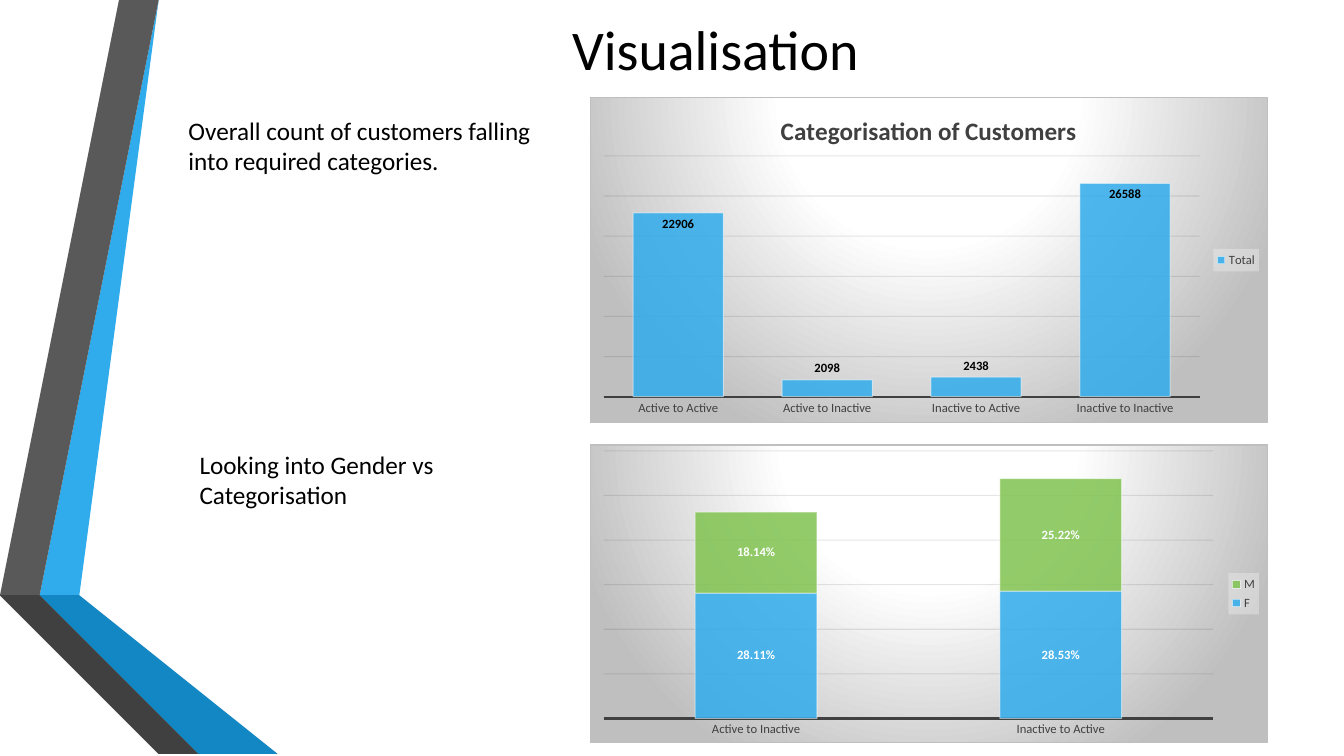
from pptx import Presentation
from pptx.chart.data import CategoryChartData
from pptx.dml.color import RGBColor
from pptx.enum.chart import XL_CHART_TYPE, XL_LABEL_POSITION, XL_LEGEND_POSITION, XL_TICK_MARK
from pptx.enum.text import MSO_ANCHOR, PP_ALIGN
from pptx.oxml import parse_xml
from pptx.oxml.ns import nsdecls
from pptx.util import Cm, Pt

HUES = {
    "black": "000000", "white": "FFFFFF", "blue": "30ACEC", "deep": "1287C3",
    "navy": "0C5A82", "green": "80C34F", "grey": "595959", "dark": "404040",
    "night": "262626", "grid": "0D0D0D", "edge": "BFBFBF", "key": "F2F2F2",
}
FACE = "Calibri"
BANDS = [
    ("blue", [(1.27, 14.68), (1.96, 14.81), (4.39, 0), (3.68, 0)]),
    ("grey", [(3.53, 0), (2.82, 0), (0.41, 14.55), (1.12, 14.66)]),
    ("night", [(0.41, 14.55), (3.68, 19.05), (3.84, 19.05)]),
    ("navy", [(1.27, 14.71), (5.28, 19.05), (5.44, 19.05)]),
    ("deep", [(1.27, 14.68), (5.44, 19.05), (7.19, 19.05), (1.96, 14.81)]),
    ("dark", [(5.13, 19.05), (1.22, 14.81), (1.12, 14.66), (0.41, 14.55), (3.84, 19.05)]),
]


def hue(name):
    return RGBColor.from_string(HUES[name])


def style(font, size, name, bold=False):
    font.name = FACE
    font.size = Pt(size)
    font.bold = bold
    font.color.rgb = hue(name)


def ink(line, name, width):
    line.color.rgb = hue(name)
    line.width = Pt(width)


def fade(root, query, part):
    for node in root.xpath(query):
        node.append(parse_xml(f'<a:alpha {nsdecls("a")} val="{part * 1000}"/>'))


def draw_bands(slide, box):
    left, top = box
    for name, dots in BANDS:
        spots = [(left + x, top + y) for x, y in dots]
        pen = slide.shapes.build_freeform(*spots[0], scale=Cm(1))
        pen.add_line_segments(spots[1:], close=True)
        band = pen.convert_to_shape()
        band.shadow.inherit = False
        band.fill.solid()
        band.fill.fore_color.rgb = hue(name)
        band.line.fill.background()


def put_title(slide, box, text):
    title = slide.shapes.title
    title.left, title.top, title.width, title.height = map(Cm, box)
    frame = title.text_frame
    frame.text = text
    frame.vertical_anchor = MSO_ANCHOR.MIDDLE
    frame.paragraphs[0].alignment = PP_ALIGN.CENTER
    style(frame.paragraphs[0].runs[0].font, 40, "black")


def put_note(slide, box, text):
    frame = slide.shapes.add_textbox(*map(Cm, box)).text_frame
    frame.word_wrap = True
    frame.text = text
    style(frame.paragraphs[0].runs[0].font, 18, "black")


def paint_back(chart):
    root = chart._chartSpace
    root.chart.addnext(parse_xml(
        f'<c:spPr {nsdecls("c", "a")}><a:gradFill><a:gsLst>'
        f'<a:gs pos="0"><a:srgbClr val="{HUES["white"]}"/></a:gs>'
        f'<a:gs pos="39000"><a:srgbClr val="{HUES["white"]}"/></a:gs>'
        f'<a:gs pos="100000"><a:srgbClr val="{HUES["edge"]}"/></a:gs></a:gsLst>'
        '<a:path path="circle"><a:fillToRect l="50000" t="-80000" r="50000" b="180000"/></a:path>'
        f'</a:gradFill><a:ln w="9525"><a:solidFill><a:srgbClr val="{HUES["edge"]}"/>'
        '</a:solidFill></a:ln></c:spPr>'))


def place_plot(chart, area):
    plot = chart._chartSpace.chart.plotArea
    for node in plot.xpath("./c:layout"):
        plot.remove(node)
    sides = "".join(f'<c:{key} val="{part}"/>' for key, part in zip("xywh", area))
    plot.insert(0, parse_xml(
        f'<c:layout {nsdecls("c")}><c:manualLayout><c:layoutTarget val="inner"/>'
        f'<c:xMode val="edge"/><c:yMode val="edge"/>{sides}</c:manualLayout></c:layout>'))


def put_key(chart):
    chart.has_legend = True
    key = chart.legend
    key.position = XL_LEGEND_POSITION.RIGHT
    key.include_in_layout = False
    style(key.font, 9, "dark")
    key._element.xpath("./c:txPr")[0].addprevious(parse_xml(
        f'<c:spPr {nsdecls("c", "a")}><a:solidFill><a:srgbClr val="{HUES["key"]}">'
        '<a:alpha val="39000"/></a:srgbClr></a:solidFill></c:spPr>'))


def put_chart(slide, box, kind, cats, rows, area, peak, step, gap, form, tone, spot):
    data = CategoryChartData(number_format=form)
    data.categories = cats
    for name, nums, _ in rows:
        data.add_series(name, nums)
    chart = slide.shapes.add_chart(kind, *map(Cm, box), data).chart
    style(chart.font, 10, "black")
    chart.has_title = False
    paint_back(chart)
    place_plot(chart, area)
    put_key(chart)

    base = chart.category_axis
    base.major_tick_mark = XL_TICK_MARK.NONE
    style(base.tick_labels.font, 9, "dark")
    ink(base.format.line, "dark", 1.5)
    scale = chart.value_axis
    scale.minimum_scale, scale.maximum_scale, scale.major_unit = 0, peak, step
    ink(scale.major_gridlines.format.line, "grid", 0.75)
    fade(chart._chartSpace, ".//c:majorGridlines//a:srgbClr", 10)
    scale.visible = False

    plot = chart.plots[0]
    plot.gap_width = gap
    plot.vary_by_categories = False
    for bars, (_, _, name) in zip(plot.series, rows):
        bars.format.fill.solid()
        bars.format.fill.fore_color.rgb = hue(name)
        ink(bars.format.line, "white", 0.75)
        fade(bars._element, "./c:spPr/a:solidFill/a:srgbClr", 85)
        fade(bars._element, "./c:spPr/a:ln//a:srgbClr", 50)
        tags = bars.data_labels
        tags.show_value = True
        tags.number_format = form
        tags.number_format_is_linked = False
        tags.position = spot
        style(tags.font, 9, tone, True)
    return chart


def put_counts(slide, box):
    chart = put_chart(
        slide, box, XL_CHART_TYPE.COLUMN_CLUSTERED,
        ["Active to Active", "Active to Inactive", "Inactive to Active", "Inactive to Inactive"],
        [("Total", [22906, 2098, 2438, 26588], "blue")],
        (0.02, 0.18, 0.88, 0.74), 30000, 5000, 65, "General", "black",
        XL_LABEL_POSITION.INSIDE_END)
    frame = chart.chart_title.text_frame
    frame.text = "Categorisation of Customers"
    style(frame.paragraphs[0].runs[0].font, 18, "dark", True)
    for rank in (1, 2):
        tag = chart.plots[0].series[0].points[rank].data_label
        style(tag.font, 9, "black", True)
        tag.position = XL_LABEL_POSITION.OUTSIDE_END


def put_shares(slide, box):
    chart = put_chart(
        slide, box, XL_CHART_TYPE.COLUMN_STACKED,
        ["Active to Inactive", "Inactive to Active"],
        [("F", [0.2811, 0.2853], "blue"), ("M", [0.1814, 0.2522], "green")],
        (0.02, 0.02, 0.9, 0.9), 0.6, 0.1, 150, "0.00%", "white",
        XL_LABEL_POSITION.CENTER)
    chart.plots[0].overlap = 100


def main():
    deck = Presentation()
    deck.slide_width, deck.slide_height = Cm(33.87), Cm(19.05)
    slide = deck.slides.add_slide(deck.slide_layouts[5])
    draw_bands(slide, (0, 0))
    put_title(slide, (4.11, 0, 27.84, 2.44), "Visualisation")
    put_counts(slide, (14.86, 2.44, 17.09, 8.23))
    put_note(slide, (4.5, 2.77, 9.27, 1.8),
             "Overall count of customers falling into required categories.")
    put_shares(slide, (14.86, 11.2, 17.09, 7.52))
    put_note(slide, (4.78, 11.2, 8.59, 1.8), "Looking into Gender vs Categorisation")
    deck.save("out.pptx")


if __name__ == "__main__":
    main()
